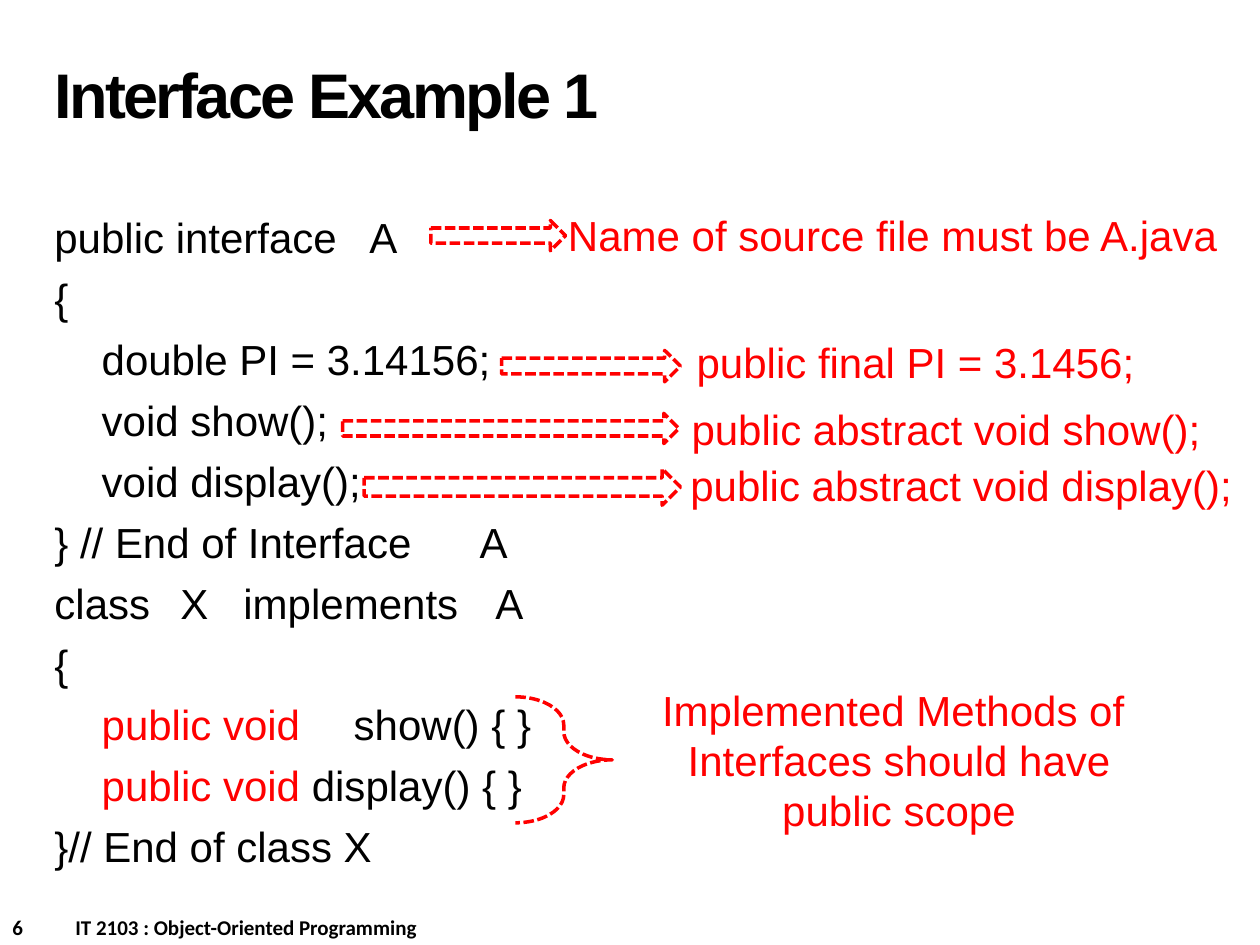
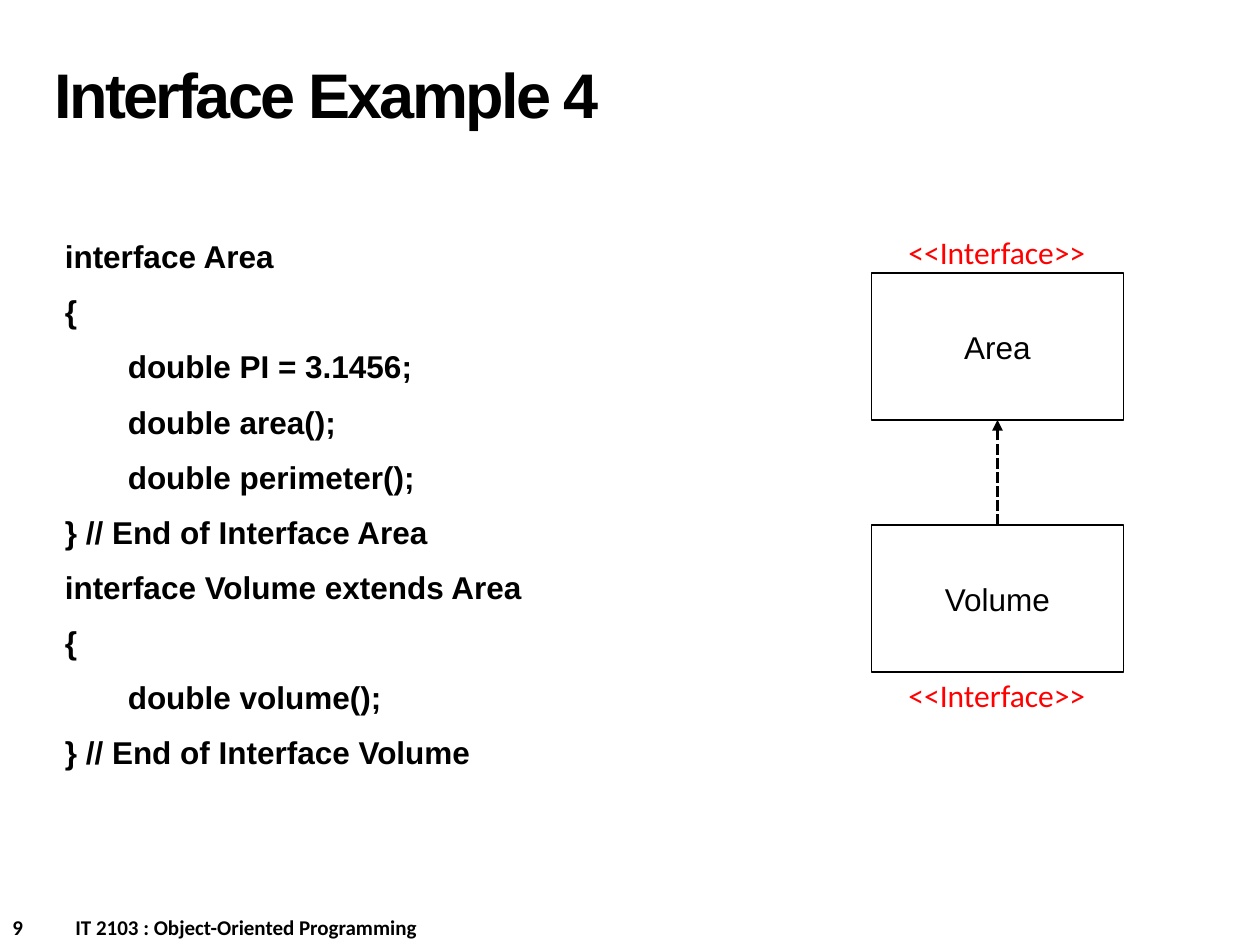
from lxml import etree
from pptx import Presentation
from pptx.dml.color import RGBColor
from pptx.enum.dml import MSO_LINE
from pptx.enum.shapes import MSO_CONNECTOR, MSO_SHAPE
from pptx.enum.text import MSO_ANCHOR, MSO_AUTO_SIZE, PP_ALIGN
from pptx.oxml.ns import qn
from pptx.util import Pt

BLACK, RED, WHITE = "000000", "FF0000", "FFFFFF"
ARIAL, CALIBRI = "Arial", "Calibri"
DASH = MSO_LINE.SQUARE_DOT
ARROW, BRACE, RECTANGLE = MSO_SHAPE.RIGHT_ARROW, MSO_SHAPE.RIGHT_BRACE, MSO_SHAPE.RECTANGLE
STRAIGHT = MSO_CONNECTOR.STRAIGHT
LEFT, CENTER = PP_ALIGN.LEFT, PP_ALIGN.CENTER
TOP, MIDDLE = MSO_ANCHOR.TOP, MSO_ANCHOR.MIDDLE
GROW, FIXED = MSO_AUTO_SIZE.SHAPE_TO_FIT_TEXT, MSO_AUTO_SIZE.NONE
COURSE = "IT 2103 : Object-Oriented Programming"


def color(hex_code):
    return RGBColor.from_string(hex_code)


def points(*lengths):
    return [Pt(length) for length in lengths]


class Deck:
    def __init__(self):
        self.presentation = Presentation()
        self.presentation.slide_width = Pt(720)
        self.presentation.slide_height = Pt(540)
        self.slide = None

    def start_slide(self, number, title):
        self.slide = self.presentation.slides.add_slide(self.presentation.slide_layouts[6])
        footer = self.text((0, 519, 360, 21.6), [f"{number}\t{COURSE}"], 12, CALIBRI, bold=True)
        self.indent(footer[0], 0, [32.8])
        heading = self.text((24, 12, 498, 90), [title], 36, bold=True, anchor=MIDDLE, size_mode=FIXED)
        heading[0].line_spacing = Pt(36)
        heading[0].runs[0].font._element.set("spc", "-150")

    def add_words(self, paragraph, words, size, font=ARIAL, ink=BLACK, bold=False):
        run = paragraph.add_run()
        run.text = words
        run.font.size = Pt(size)
        run.font.name = font
        run.font.bold = bold
        run.font.color.rgb = color(ink)

    def text(self, box, lines, size, font=ARIAL, ink=BLACK, bold=False, align=LEFT,
             anchor=TOP, wrap=True, size_mode=GROW, gap=0):
        frame = self.slide.shapes.add_textbox(*points(*box)).text_frame
        frame.word_wrap = wrap
        frame.auto_size = size_mode
        frame.vertical_anchor = anchor
        for position, line in enumerate(lines):
            paragraph = frame.add_paragraph() if position else frame.paragraphs[0]
            paragraph.alignment = align
            paragraph.space_before = Pt(gap if position else 0)
            runs = [(line, ink)] if isinstance(line, str) else line
            for words, run_ink in runs:
                self.add_words(paragraph, words, size, font, run_ink, bold)
        return frame.paragraphs

    def indent(self, paragraph, hanging, stops=()):
        properties = paragraph._p.get_or_add_pPr()
        properties.set("marL", str(Pt(hanging)))
        properties.set("indent", str(Pt(-hanging)))
        if stops:
            tabs = etree.SubElement(properties, qn("a:tabLst"))
            for stop in stops:
                etree.SubElement(tabs, qn("a:tab"), pos=str(Pt(stop)), algn="l")

    def outline(self, kind, box):
        shape = self.slide.shapes.add_shape(kind, *points(*box))
        shape.shadow.inherit = False
        shape.fill.background()
        shape.line.color.rgb = color(RED)
        shape.line.width = Pt(2)
        shape.line.dash_style = DASH
        return shape

    def type_box(self, box, name):
        shape = self.slide.shapes.add_shape(RECTANGLE, *points(*box))
        shape.shadow.inherit = False
        shape.fill.solid()
        shape.fill.fore_color.rgb = color(WHITE)
        shape.line.color.rgb = color(BLACK)
        shape.line.width = Pt(0.75)
        shape.text_frame.word_wrap = False
        shape.text_frame.vertical_anchor = MIDDLE
        label = shape.text_frame.paragraphs[0]
        label.alignment = CENTER
        self.add_words(label, name, 18)
        return shape

    def extends(self, child, parent):
        link = self.slide.shapes.add_connector(STRAIGHT, 0, 0, 0, 0)
        link.begin_connect(child, 0)
        link.end_connect(parent, 2)
        link.line.color.rgb = color(BLACK)
        link.line.width = Pt(2)
        link.line.dash_style = DASH
        etree.SubElement(link.line._get_or_add_ln(), qn("a:tailEnd"), type="triangle")
        etree.SubElement(link._element.spPr, qn("a:effectLst"))


def build_implementation(deck):
    deck.start_slide(6, "Interface Example 1")
    code = deck.text((24, 117.4, 322.6, 396), [
        "public interface\tA",
        "{",
        "\tdouble PI = 3.14156;",
        "\tvoid show();",
        "\tvoid display();",
        "} // End of Interface \tA",
        "class\tX\timplements\tA",
        "{",
        [("\t", BLACK), ("public void", RED), ("\tshow() { }", BLACK)],
        [("\t", BLACK), ("public void", RED), (" display() { }", BLACK)],
        "}// End of class X",
    ], 24, size_mode=FIXED, gap=6)
    column_stops = {0: [173.5], 6: [99, 141.3, 289]}
    for position, line in enumerate(code):
        stops = column_stops.get(position, ())
        deck.indent(line, 0 if stops else 27, stops)

    meanings = [
        ((246.2, 126, 77, 17.3), (317.5, 115.9, 388.8), "Name of source file must be A.java"),
        ((286.6, 200.2, 102.2, 18), (391, 188.6, 267.1), "public final PI = 3.1456;"),
        ((195.8, 236.2, 192.2, 17.3), (388.1, 226.8, 308.2), "public abstract void show();"),
        ((208.1, 267.8, 180.7, 20.9), (387.4, 259.2, 327.6), "public abstract void display();"),
    ]
    for arrow, note, meaning in meanings:
        deck.outline(ARROW, arrow)
        deck.text((*note, 36), [meaning], 24, ink=RED, wrap=False)

    scope_brace = deck.outline(BRACE, (294.5, 398.2, 55.4, 72))
    scope_brace.adjustments[0] = 0.29
    deck.text((353.5, 387.4, 320.4, 94.3),
              ["Implemented Methods of ", "Interfaces should have public scope"],
              24, ink=RED, align=CENTER)


def build_extension(deck):
    deck.start_slide(9, "Interface Example 4")
    deck.text((30, 132, 330, 353.5), [
        "interface Area",
        "{",
        "\tdouble PI = 3.1456;",
        "\tdouble area();",
        "\tdouble perimeter();",
        "} // End of Interface Area",
        "interface Volume extends Area",
        "{",
        "\tdouble volume();",
        "} // End of Interface Volume",
    ], 18, bold=True, gap=9.9)
    area, volume = [deck.type_box((498, top, 144, 84), name)
                    for top, name in ((156, "Area"), (300, "Volume"))]
    deck.extends(volume, area)
    for top in (129.6, 383):
        deck.text((512, top, 116.6, 28.8), ["<<Interface>>"], 18, CALIBRI, RED, wrap=False)


def main():
    deck = Deck()
    build_implementation(deck)
    build_extension(deck)
    deck.presentation.save("out.pptx")


if __name__ == "__main__":
    main()
